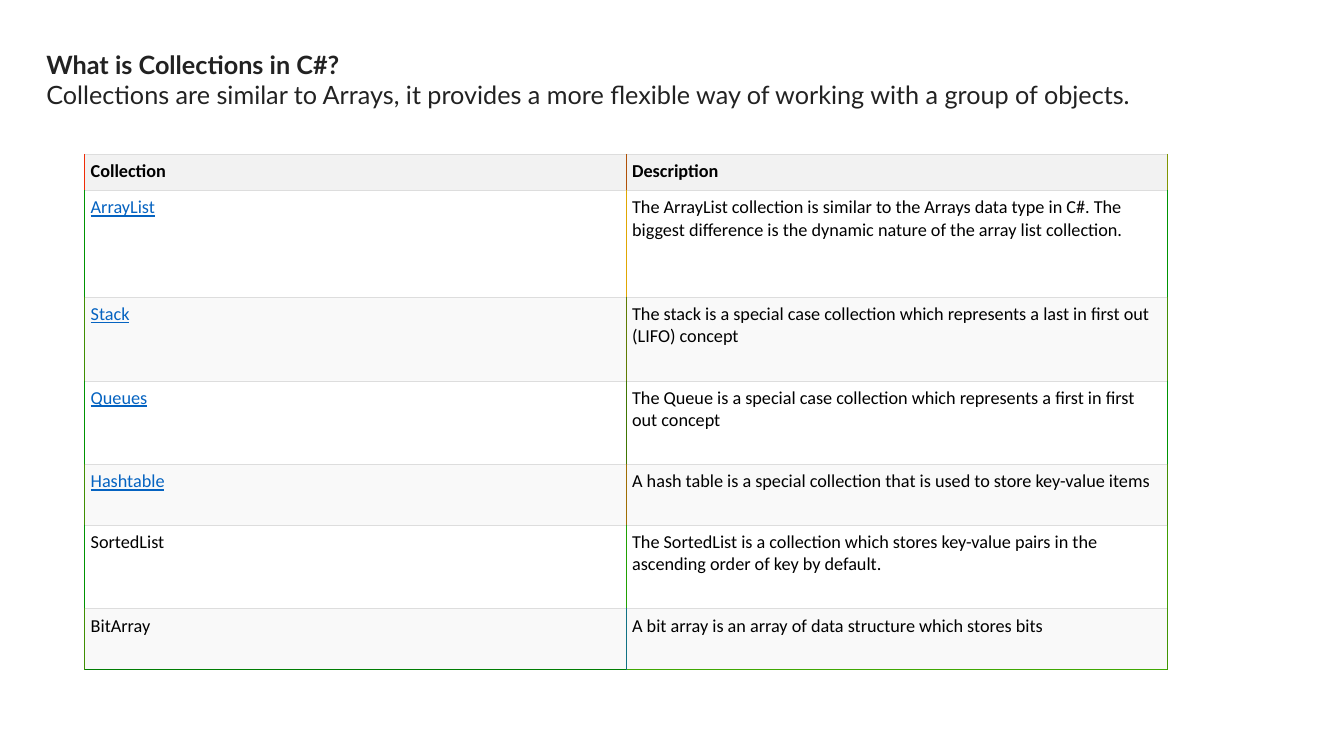
from dataclasses import dataclass

from lxml.etree import SubElement
from pptx import Presentation
from pptx.dml.color import RGBColor
from pptx.enum.text import MSO_ANCHOR, MSO_AUTO_SIZE, PP_ALIGN
from pptx.oxml.ns import qn
from pptx.slide import Slide
from pptx.table import _Cell
from pptx.text.text import _Paragraph
from pptx.util import Inches, Pt

COLORS = {
    "title": "222222",
    "text": "000000",
    "link": "0563C1",
    "header": "F2F2F2",
    "odd": "FFFFFF",
    "even": "F9F9F9",
    "rule": "DDDDDD",
}
TITLE_LINES = (
    "What is Collections in C#?",
    "Collections are similar to Arrays, it provides a more flexible way of "
    "working with a group of objects.",
)
COLUMN_WIDTH = 5.37
CELL_MARGIN = 0.06
THIN, THICK = 0.75, 1


@dataclass
class Border:
    color: str
    width: float = THICK


@dataclass
class CollectionRow:
    name: str
    description: str
    height: float
    edges: tuple[Border, Border, Border]  # left, middle, right
    linked: bool = False


RULE = Border(COLORS["rule"], THIN)
BOTTOM_BORDERS = (Border("007D03"), Border("40A803"))
ROWS = (
    CollectionRow("Collection", "Description", 0.36,
                  (Border("F02C07", THIN), Border("B05107", THIN), Border("809603"))),
    CollectionRow("ArrayList",
                  "The ArrayList collection is similar to the Arrays data type in C#. "
                  "The biggest difference is the dynamic nature of the array list collection.",
                  1.06, (Border("009403"), Border("E0A703"), Border("009403")), True),
    CollectionRow("Stack",
                  "The stack is a special case collection which represents a last in "
                  "first out (LIFO) concept",
                  0.83, (Border("408F03"), Border("607C03"), Border("408F03")), True),
    CollectionRow("Queues",
                  "The Queue is a special case collection which represents a first in "
                  "first out concept",
                  0.83, (Border("009403"), Border("407603"), Border("009403")), True),
    CollectionRow("Hashtable",
                  "A hash table is a special collection that is used to store key-value items",
                  0.6, (Border("408F03"), Border("A06E03"), Border("408F03")), True),
    CollectionRow("SortedList",
                  "The SortedList is a collection which stores key-value pairs in the "
                  "ascending order of key by default.",
                  0.83, (Border("009403"), Border("20A103"), Border("409E03"))),
    CollectionRow("BitArray",
                  "A bit array is an array of data structure which stores bits",
                  0.6, (Border("408F03"), Border("107285"), Border("409503"))),
)


def format_runs(paragraph: _Paragraph, font_name: str, size: float, color: str,
                bold: bool = False, underline: bool = False) -> None:
    for run in paragraph.runs:
        run.font.name = font_name
        run.font.size = Pt(size)
        run.font.bold = bold
        run.font.underline = underline
        run.font.color.rgb = RGBColor.from_string(color)


def add_title(slide: Slide) -> None:
    title = slide.shapes.title
    title.left, title.top = Inches(0.36), Inches(0.44)
    title.width, title.height = Inches(11.75), Inches(0.71)
    text_frame = title.text_frame
    text_frame.text = "\n".join(TITLE_LINES)
    text_frame.word_wrap = True
    text_frame.auto_size = MSO_AUTO_SIZE.SHAPE_TO_FIT_TEXT
    text_frame.vertical_anchor = MSO_ANCHOR.TOP
    for index, paragraph in enumerate(text_frame.paragraphs):
        paragraph.alignment = PP_ALIGN.LEFT
        paragraph.space_before = Pt(0)
        format_runs(paragraph, "Lato", 18, COLORS["title"], bold=index == 0)


def set_borders(cell: _Cell, left: Border, right: Border, top: Border, bottom: Border) -> None:
    """Add the four border lines ahead of the cell fill, as the schema requires."""
    properties = cell._tc.get_or_add_tcPr()
    sides = {"a:lnL": left, "a:lnR": right, "a:lnT": top, "a:lnB": bottom}
    for position, (tag, border) in enumerate(sides.items()):
        line = SubElement(properties, qn(tag), w=str(Pt(border.width)))
        fill = SubElement(line, qn("a:solidFill"))
        SubElement(fill, qn("a:srgbClr"), val=border.color)
        properties.insert(position, line)


def fill_cell(cell: _Cell, text: str, fill: str, bold: bool, linked: bool) -> None:
    cell.margin_left = cell.margin_right = Inches(CELL_MARGIN)
    cell.margin_top = cell.margin_bottom = Inches(CELL_MARGIN)
    cell.vertical_anchor = MSO_ANCHOR.TOP
    cell.fill.solid()
    cell.fill.fore_color.rgb = RGBColor.from_string(fill)
    cell.text_frame.text = text
    color = COLORS["link" if linked else "text"]
    format_runs(cell.text_frame.paragraphs[0], "Calibri", 13, color, bold, linked)


def add_collections_table(slide: Slide) -> None:
    height = sum(row.height for row in ROWS)
    table = slide.shapes.add_table(len(ROWS), 2, Inches(0.84), Inches(1.53),
                                   Inches(2 * COLUMN_WIDTH), Inches(height)).table
    table.first_row = table.horz_banding = False
    for row_index, row in enumerate(ROWS):
        table.rows[row_index].height = Inches(row.height)
        is_header = row_index == 0
        is_last = row_index == len(ROWS) - 1
        fill = COLORS["header" if is_header else "odd" if row_index % 2 else "even"]
        for column, text in enumerate((row.name, row.description)):
            cell = table.cell(row_index, column)
            fill_cell(cell, text, fill, is_header, row.linked and column == 0)
            bottom = BOTTOM_BORDERS[column] if is_last else RULE
            set_borders(cell, row.edges[column], row.edges[column + 1], RULE, bottom)


def main() -> None:
    presentation = Presentation()
    presentation.slide_width, presentation.slide_height = Inches(13.33), Inches(7.5)
    title_only = presentation.slide_layouts.get_by_name("Title Only")
    slide = presentation.slides.add_slide(title_only)
    add_title(slide)
    add_collections_table(slide)
    presentation.save("out.pptx")


if __name__ == "__main__":
    main()
